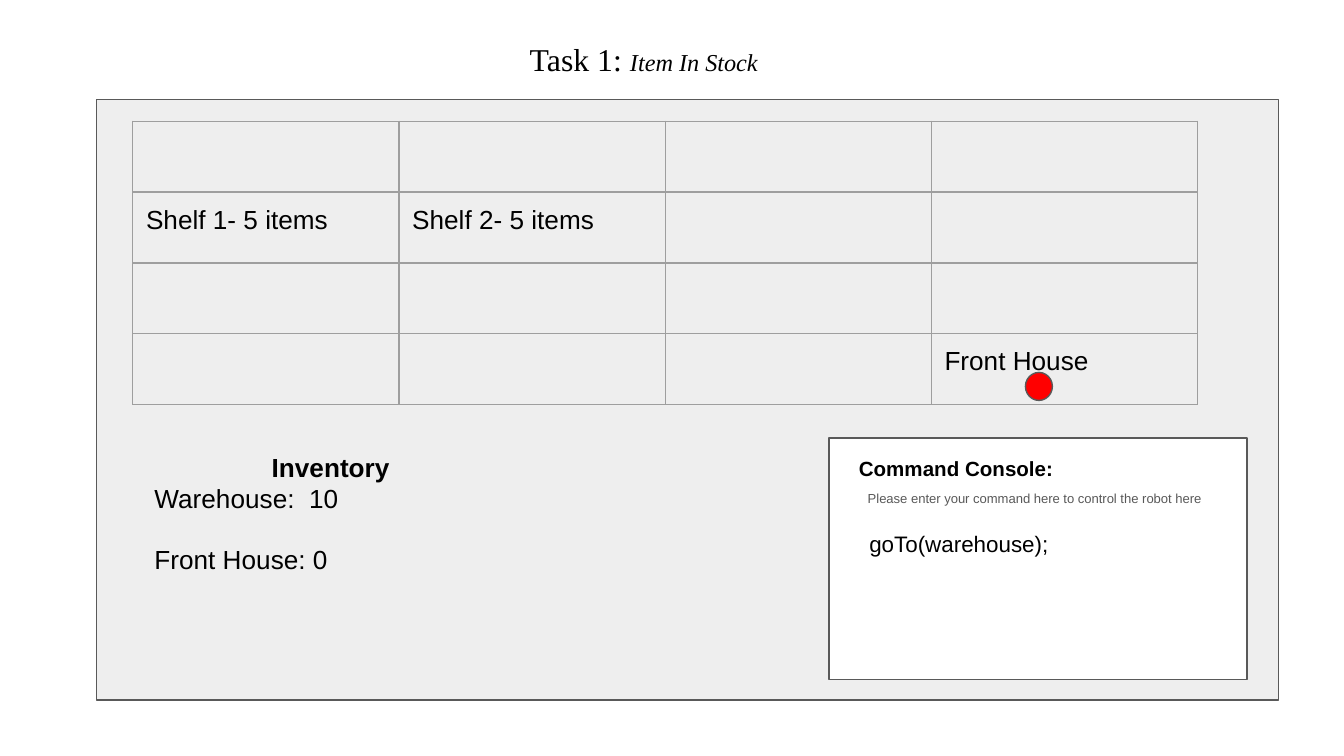
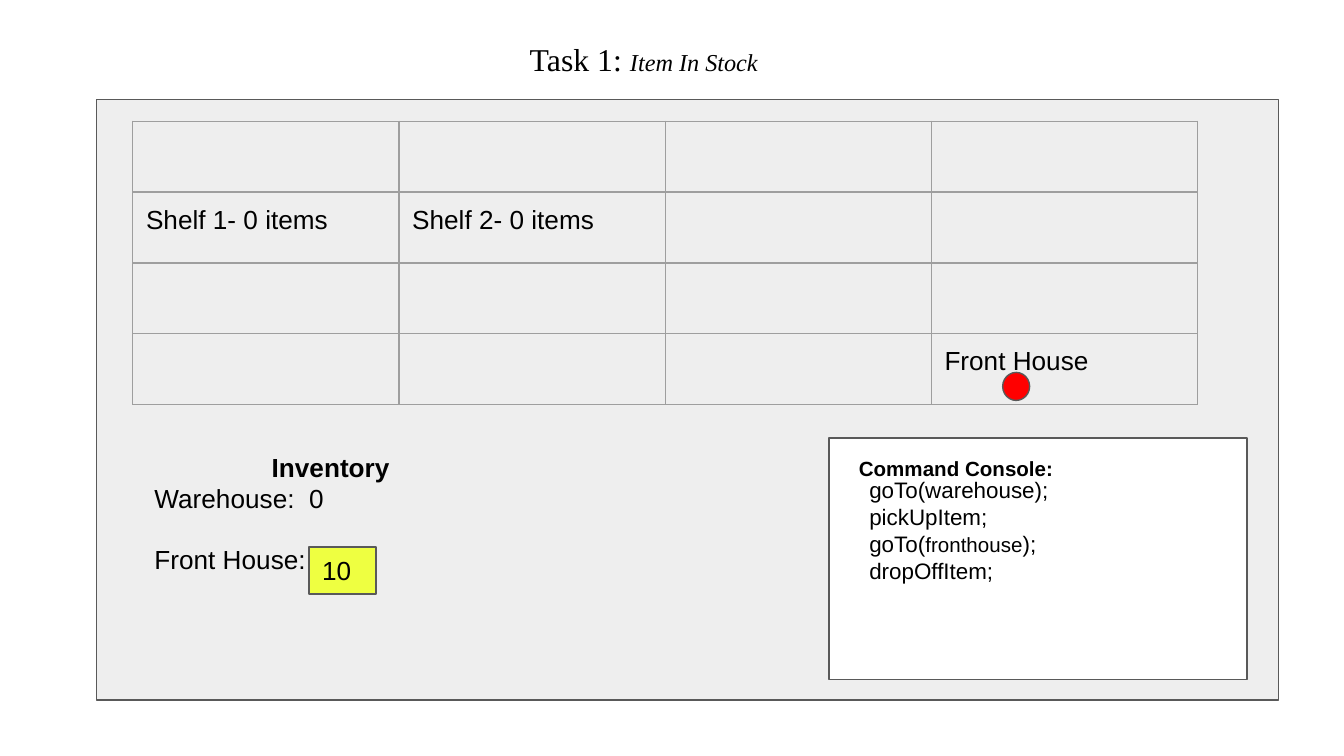
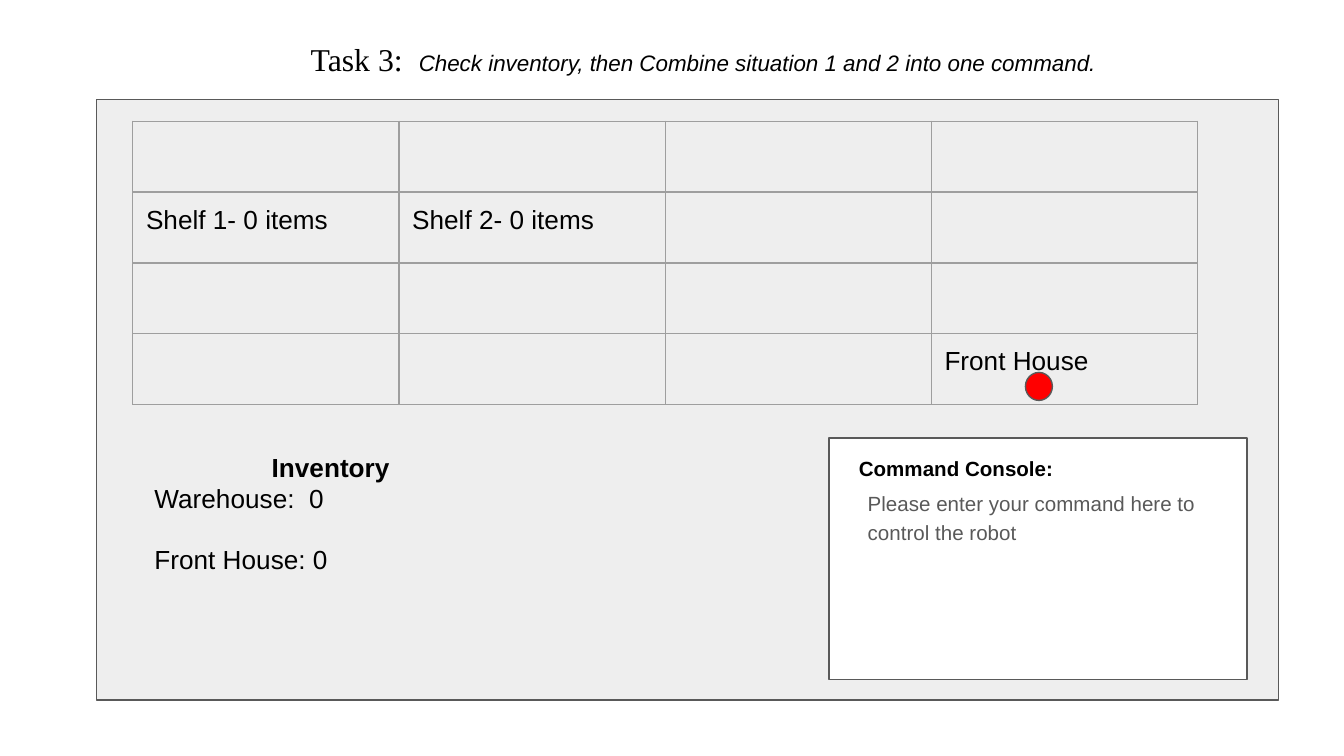
from dataclasses import dataclass

from lxml.etree import SubElement
from pptx import Presentation
from pptx.dml.color import RGBColor as RGB
from pptx.enum.shapes import MSO_SHAPE as SHAPE
from pptx.enum.text import MSO_ANCHOR as ANCHOR, MSO_AUTO_SIZE as AUTO, PP_ALIGN as ALIGN
from pptx.oxml.ns import qn
from pptx.util import Cm, Pt


@dataclass(frozen=True)
class Style:
    """Character formatting of a run."""
    size: float
    color: str = "000000"
    font: str = "Arial"
    bold: bool = False
    italic: bool = False


@dataclass(frozen=True)
class Theme:
    """Colours, type and measures shared by the slides."""
    panel: str = "EEEEEE"
    white: str = "FFFFFF"
    robot: str = "FF0000"
    highlight: str = "EEFF41"
    outline: str = "595959"
    grid: str = "9E9E9E"
    line: float = 0.75
    inset: float = 0.25
    loose: float = 1.15
    task: Style = Style(17, font="Times New Roman")
    subject: Style = Style(13, font="Times New Roman", italic=True)
    long_subject: Style = Style(12, italic=True)
    body: Style = Style(14)
    body_head: Style = Style(14, bold=True)
    console_head: Style = Style(11, bold=True)
    hint: Style = Style(7, "595959")
    large_hint: Style = Style(11, "595959")
    code: Style = Style(12)
    small_code: Style = Style(11)


T = Theme()
ITEM_IN_STOCK = [("Task 1: ", T.task), ("Item In Stock", T.subject)]


def set_frame(tf, anchor=ANCHOR.TOP):
    """Give a text frame the shared insets and wrapping."""
    tf.word_wrap = True
    tf.auto_size = AUTO.NONE
    tf.vertical_anchor = anchor
    tf.margin_left = tf.margin_right = tf.margin_top = tf.margin_bottom = Cm(T.inset)


def write(tf, *lines, align=ALIGN.LEFT, spacing=1.0):
    """Write lines, each a list of (text, style) runs."""
    for i, line in enumerate(lines):
        p = tf.paragraphs[0] if i == 0 else tf.add_paragraph()
        p.alignment, p.line_spacing = align, spacing
        for text, style in line:
            r = p.add_run()
            r.text = text
            f = r.font
            f.name, f.size = style.font, Pt(style.size)
            f.bold, f.italic = style.bold, style.italic
            f.color.rgb = RGB.from_string(style.color)


def add_text(s, box, *lines, **layout):
    """Add a text box."""
    tf = s.shapes.add_textbox(*map(Cm, box)).text_frame
    set_frame(tf)
    write(tf, *lines, **layout)
    return tf


def add_block(s, box, fill, kind=SHAPE.RECTANGLE):
    """Add a filled, outlined shape."""
    sp = s.shapes.add_shape(kind, *map(Cm, box))
    sp.shadow.inherit = False
    sp.fill.solid()
    sp.fill.fore_color.rgb = RGB.from_string(fill)
    sp.line.color.rgb = RGB.from_string(T.outline)
    sp.line.width = Pt(T.line)
    return sp


def add_title(s, runs, width):
    """Place the centred task title."""
    sp = s.shapes.title
    sp.left, sp.top, sp.width, sp.height = map(Cm, (5.36, 0.51, width, 1.24))
    set_frame(sp.text_frame)
    write(sp.text_frame, runs, align=ALIGN.CENTER)


def set_borders(cell):
    """Outline a table cell on all four sides."""
    tc_pr = cell._tc.get_or_add_tcPr()
    for side in ("lnL", "lnR", "lnT", "lnB"):
        ln = SubElement(tc_pr, qn(f"a:{side}"), w=str(Pt(T.line)))
        fill = SubElement(ln, qn("a:solidFill"))
        SubElement(fill, qn("a:srgbClr"), val=T.grid)


def add_floor(s, stock):
    """Add the warehouse floor grid with its shelves."""
    labels = {(1, 0): f"Shelf 1- {stock} items",
              (1, 1): f"Shelf 2- {stock} items",
              (3, 3): "Front House"}
    n, width, height = 4, 5.03, 1.34
    box = (2.51, 2.29, n * width, n * height)
    table = s.shapes.add_table(n, n, *map(Cm, box)).table
    table.first_row = table.horz_banding = False
    for i in range(n):
        table.columns[i].width = Cm(width)
        table.rows[i].height = Cm(height)
        for j in range(n):
            cell = table.cell(i, j)
            cell.margin_left = cell.margin_right = Cm(T.inset)
            cell.margin_top = cell.margin_bottom = Cm(T.inset)
            set_borders(cell)
            cell.fill.background()
            if (i, j) in labels:
                write(cell.text_frame, [(labels[i, j], T.body)])


def add_inventory(s, warehouse, front_house):
    """Add the inventory counts."""
    tf = add_text(s, (2.67, 8.28, 7.16, 3.51),
                  [("Inventory", T.body_head)],
                  [(f"Warehouse:  {warehouse}", T.body)],
                  [(f"Front House:{front_house}", T.body)])
    tf.paragraphs[0].alignment = ALIGN.CENTER
    tf.paragraphs[2].space_before = Pt(16)


def add_hint(s, text, style, height):
    """Add the prompt of the command console."""
    add_text(s, (16.15, 8.97, 6.96, height), [(text, style)], spacing=T.loose)


def add_code(s, top, height, *lines):
    """Add commands to the console."""
    add_text(s, (16.18, top, 6.88, height), *lines)


def add_highlight(s, text):
    """Add the highlighted front house count."""
    sp = add_block(s, (5.84, 10.34, 1.27, 0.89), T.highlight)
    set_frame(sp.text_frame, ANCHOR.MIDDLE)
    write(sp.text_frame, [(text, T.body)])


def add_task(prs, title, stock, warehouse, front_house, robot_left=19.38, title_width=13.61):
    """Add a slide with the parts every task has."""
    s = prs.slides.add_slide(prs.slide_layouts[5])
    add_title(s, title, title_width)
    add_block(s, (1.83, 1.88, 22.33, 11.35), T.panel)
    add_block(s, (15.67, 8.28, 7.9, 4.57), T.white)
    add_floor(s, stock)
    add_inventory(s, warehouse, front_house)
    add_text(s, (13.18, 8.31, 9.78, 2.18), [("Command Console:", T.console_head)],
             align=ALIGN.CENTER, spacing=T.loose)
    add_block(s, (robot_left, 7.04, 0.51, 0.53), T.robot, SHAPE.FLOWCHART_CONNECTOR)
    return s


def main():
    """Build the three task slides."""
    prs = Presentation()
    prs.slide_width, prs.slide_height = Cm(25.4), Cm(14.29)

    s = add_task(prs, ITEM_IN_STOCK, 5, 10, " 0")
    add_hint(s, "Please enter your command here to control the robot here", T.hint, 0.81)
    add_code(s, 9.78, 1.02, [("goTo(warehouse);", T.code)])

    s = add_task(prs, ITEM_IN_STOCK, 0, 0, "", robot_left=18.95)
    add_code(s, 8.76, 2.57,
             [("goTo(warehouse);", T.code)],
             [("pickUpItem;", T.code)],
             [("goTo(", T.code), ("fronthouse", T.small_code), (");", T.code)],
             [("dropOffItem;", T.code)])
    add_highlight(s, "10")

    title = [("Task 3:  ", T.task),
             ("Check inventory, then Combine situation 1 and 2 into one command.", T.long_subject)]
    s = add_task(prs, title, 0, 0, " 0", title_width=15.88)
    add_hint(s, "Please enter your command here to control the robot", T.large_hint, 1.52)

    prs.save("out.pptx")


if __name__ == "__main__":
    main()
